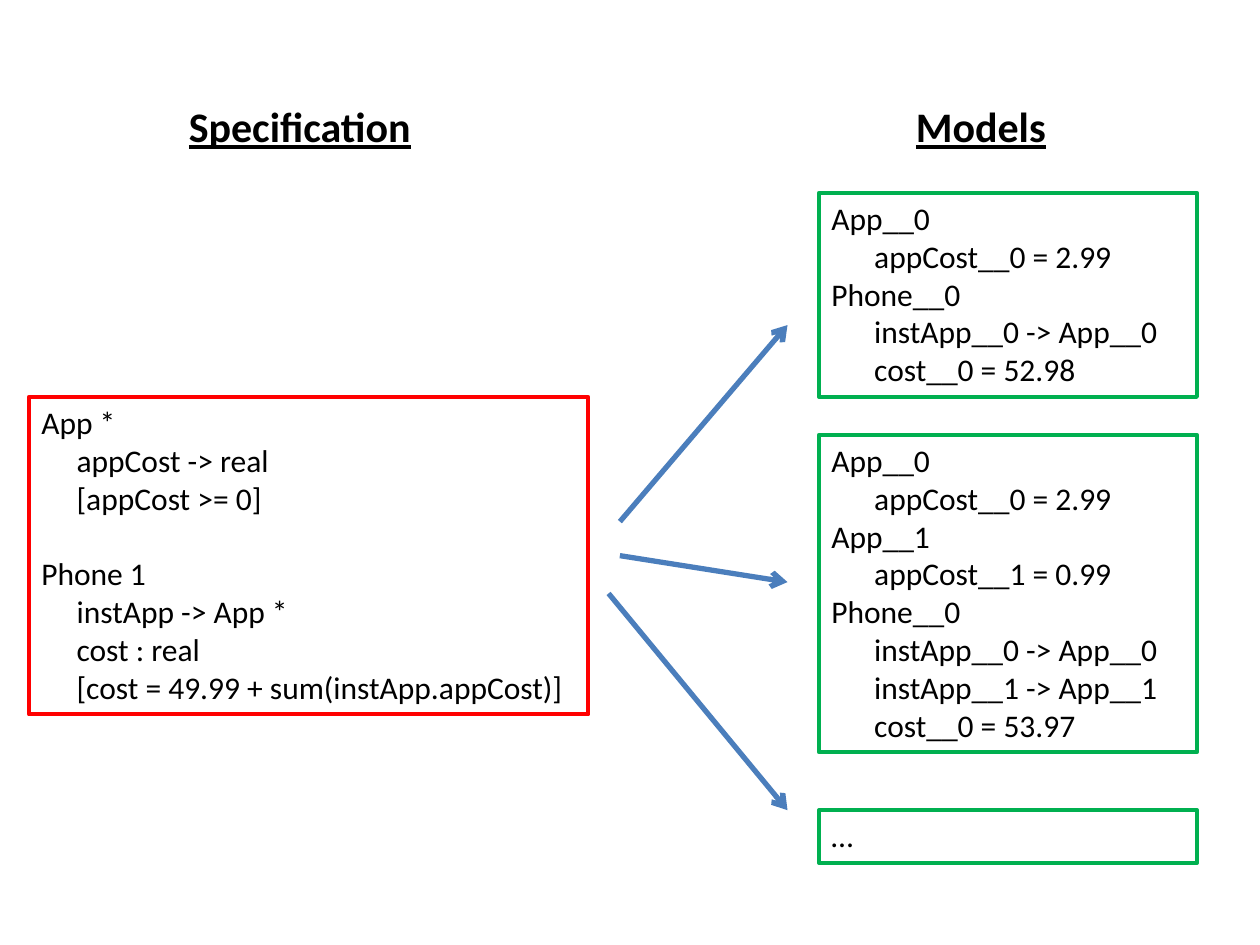
from pptx import Presentation
from pptx.dml.color import RGBColor
from pptx.enum.shapes import MSO_CONNECTOR
from pptx.oxml.ns import qn
from pptx.util import Inches, Pt
from lxml.etree import SubElement

BLACK = RGBColor(0x00, 0x00, 0x00)
RED = RGBColor(0xFF, 0x00, 0x00)
GREEN = RGBColor(0x00, 0xB0, 0x50)
BLUE = RGBColor(0x4B, 0x7E, 0xBC)

FONT = "Calibri"
LINE_HEIGHT = 0.3   # one 18 pt line, in inches
BOX_PADDING = 0.12  # top and bottom insets together

HEADINGS = [("Specification", 1.4, 2.5), ("Models", 7.17, 1.83)]

# Each entry is a name followed by its indented members.
SPECIFICATION = [
    ("App *", ["appCost -> real", "[appCost >= 0]"]),
    ("Phone 1", ["instApp -> App *", "cost : real",
                 "[cost = 49.99 + sum(instApp.appCost)]"]),
]
MODELS = [
    (1.53, [
        ("App__0", ["appCost__0 = 2.99"]),
        ("Phone__0", ["instApp__0 -> App__0", "cost__0 = 52.98"]),
    ]),
    (3.45, [
        ("App__0", ["appCost__0 = 2.99"]),
        ("App__1", ["appCost__1 = 0.99"]),
        ("Phone__0", ["instApp__0 -> App__0", "instApp__1 -> App__1",
                      "cost__0 = 53.97"]),
    ]),
    (6.43, [("…", [])]),
]
ARROWS = [
    ((4.92, 4.14), (6.25, 2.58)),
    ((4.92, 4.41), (6.25, 4.62)),
    ((4.83, 4.71), (6.25, 6.43)),
]


def add_text_box(slide, left, top, width, height):
    box = slide.shapes.add_textbox(
        Inches(left), Inches(top), Inches(width), Inches(height))
    box.text_frame.word_wrap = True
    return box


def write(paragraph, text, size):
    paragraph.text = text
    font = paragraph.runs[0].font
    font.name = FONT
    font.size = Pt(size)
    font.color.rgb = BLACK
    return font


def add_code_box(slide, left, top, width, color, entries, indent, gap_lines=0):
    """Add an outlined box of entries, gap_lines apart, with members indented."""
    line_count = sum(1 + len(members) for _, members in entries)
    line_count += gap_lines * (len(entries) - 1)
    box = add_text_box(slide, left, top, width,
                       line_count * LINE_HEIGHT + BOX_PADDING)
    box.line.color.rgb = color
    box.line.width = Pt(2.25)
    frame = box.text_frame
    for index, (name, members) in enumerate(entries):
        paragraph = frame.add_paragraph() if index else frame.paragraphs[0]
        write(paragraph, name, 18)
        if index and gap_lines:
            paragraph.space_before = Inches(gap_lines * LINE_HEIGHT)
        for member in members:
            paragraph = frame.add_paragraph()
            write(paragraph, member, 18)
            properties = paragraph._p.get_or_add_pPr()
            properties.set("marL", str(Inches(indent)))
            properties.set("indent", "0")


def add_arrow(slide, start, end):
    points = [Inches(value) for value in start + end]
    arrow = slide.shapes.add_connector(MSO_CONNECTOR.STRAIGHT, *points)
    arrow.line.color.rgb = BLUE
    arrow.line.width = Pt(3)
    SubElement(arrow.line._get_or_add_ln(), qn("a:tailEnd"), type="arrow")
    SubElement(arrow._element.spPr, qn("a:effectLst"))


def main():
    presentation = Presentation()
    presentation.slide_width = Inches(10)
    presentation.slide_height = Inches(7.5)
    slide = presentation.slides.add_slide(presentation.slide_layouts[6])

    add_code_box(slide, 0.23, 3.15, 4.44, RED, SPECIFICATION,
                 indent=0.28, gap_lines=1)
    for top, entries in MODELS:
        add_code_box(slide, 6.5, top, 3, GREEN, entries, indent=0.34)
    for start, end in ARROWS:
        add_arrow(slide, start, end)
    for text, left, width in HEADINGS:
        box = add_text_box(slide, left, 0.75, width, 0.5)
        font = write(box.text_frame.paragraphs[0], text, 24)
        font.bold = True
        font.underline = True

    presentation.save("out.pptx")


if __name__ == "__main__":
    main()
